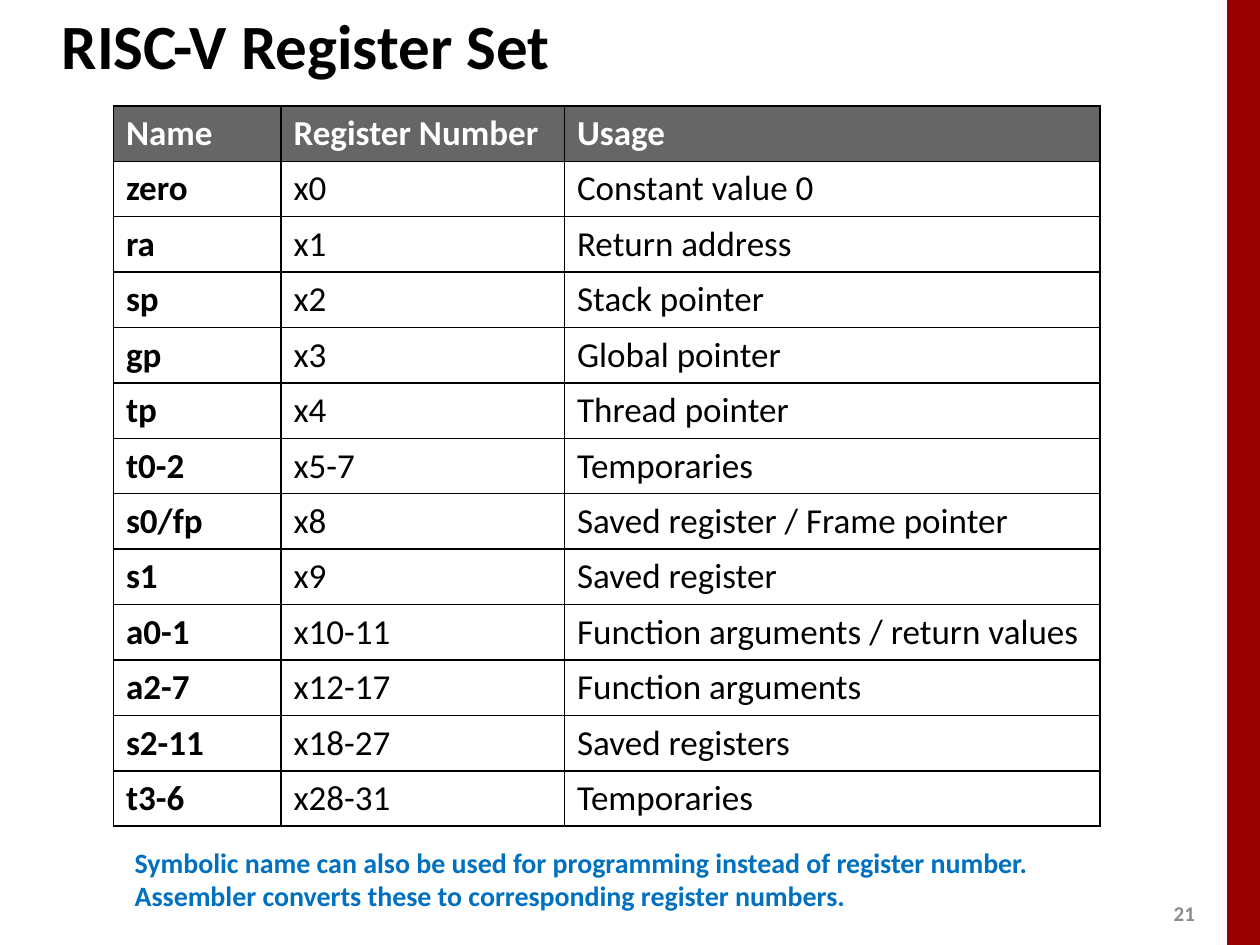
from dataclasses import dataclass

from lxml.etree import SubElement
from pptx import Presentation
from pptx.dml.color import RGBColor
from pptx.enum.shapes import MSO_SHAPE
from pptx.enum.text import MSO_ANCHOR, PP_ALIGN
from pptx.oxml.ns import qn
from pptx.util import Inches, Pt


@dataclass(frozen=True)
class Theme:
    font: str = "Calibri"
    black: str = "000000"
    white: str = "FFFFFF"
    header: str = "666666"
    bar: str = "990000"
    note: str = "0070C0"
    number: str = "8C8C8C"
    title_size: int = 36
    table_size: int = 20
    note_size: int = 16
    number_size: int = 12
    border: int = 1


THEME = Theme()
UNIT = Inches(0.1)  # the slide is a grid of 100 columns by 75 rows
COLS, ROWS = 100, 75

REGISTERS = [
    ("Name", "Register Number", "Usage"),
    ("zero", "x0", "Constant value 0"),
    ("ra", "x1", "Return address"),
    ("sp", "x2", "Stack pointer"),
    ("gp", "x3", "Global pointer"),
    ("tp", "x4", "Thread pointer"),
    ("t0-2", "x5-7", "Temporaries"),
    ("s0/fp", "x8", "Saved register / Frame pointer"),
    ("s1", "x9", "Saved register"),
    ("a0-1", "x10-11", "Function arguments / return values"),
    ("a2-7", "x12-17", "Function arguments"),
    ("s2-11", "x18-27", "Saved registers"),
    ("t3-6", "x28-31", "Temporaries"),
]
NOTE = (
    "Symbolic name can also be used for programming instead of register number.\n"
    "Assembler converts these to corresponding register numbers."
)


def grid(*lengths):
    return [round(n * UNIT) for n in lengths]


def write(tf, text, size, color, bold=True, align=PP_ALIGN.LEFT):
    tf.text = text
    for p in tf.paragraphs:
        p.alignment = align
        for r in p.runs:
            r.font.name = THEME.font
            r.font.size = Pt(size)
            r.font.bold = bold
            r.font.color.rgb = RGBColor.from_string(color)


def add_title(slide, text, box):
    sp = slide.shapes.title
    sp.left, sp.top, sp.width, sp.height = grid(*box)
    sp.text_frame.vertical_anchor = MSO_ANCHOR.MIDDLE
    write(sp.text_frame, text, THEME.title_size, THEME.black)


def add_text(slide, text, box, size, color, anchor=MSO_ANCHOR.TOP,
             align=PP_ALIGN.LEFT):
    tf = slide.shapes.add_textbox(*grid(*box)).text_frame
    tf.word_wrap = True
    tf.vertical_anchor = anchor
    write(tf, text, size, color, align=align)


def add_bar(slide, box):
    sp = slide.shapes.add_shape(MSO_SHAPE.RECTANGLE, *grid(*box))
    sp.shadow.inherit = False
    sp.fill.solid()
    sp.fill.fore_color.rgb = RGBColor.from_string(THEME.bar)
    sp.line.fill.background()


def set_borders(cell):
    tc_pr = cell._tc.get_or_add_tcPr()
    for side in ("a:lnL", "a:lnR", "a:lnT", "a:lnB"):
        ln = SubElement(tc_pr, qn(side), w=str(Pt(THEME.border)))
        fill = SubElement(ln, qn("a:solidFill"))
        SubElement(fill, qn("a:srgbClr"), val=THEME.black)


def add_table(slide, data, left, top, col_widths, row_height):
    box = grid(left, top, sum(col_widths), row_height * len(data))
    table = slide.shapes.add_table(len(data), len(col_widths), *box).table
    table.horz_banding = False
    for col, width in zip(table.columns, grid(*col_widths)):
        col.width = width
    for i, values in enumerate(data):
        header = i == 0
        for j, value in enumerate(values):
            cell = table.cell(i, j)
            set_borders(cell)
            if header:
                cell.fill.solid()
                cell.fill.fore_color.rgb = RGBColor.from_string(THEME.header)
            else:
                cell.fill.background()
            write(cell.text_frame, value, THEME.table_size,
                  THEME.white if header else THEME.black,
                  bold=header or j == 0)


def main():
    prs = Presentation()
    prs.slide_width, prs.slide_height = grid(COLS, ROWS)
    slide = prs.slides.add_slide(prs.slide_layouts[5])

    # Frame: side bar and slide number
    add_bar(slide, (COLS - 2.6, 0, 2.6, ROWS))
    add_text(slide, "21", (92, 71, 4, 3), THEME.number_size, THEME.number,
             MSO_ANCHOR.MIDDLE, PP_ALIGN.CENTER)

    # Content: title, register table and note
    add_title(slide, "RISC-V Register Set", (3.9, 0, 83, 7.1))
    add_table(slide, REGISTERS, 9, 8.4, (13.3, 22.5, 42.5), 4.4)
    add_text(slide, NOTE, (9.7, 66.6, 73.9, 6.4), THEME.note_size, THEME.note)

    prs.save("out.pptx")


if __name__ == "__main__":
    main()
